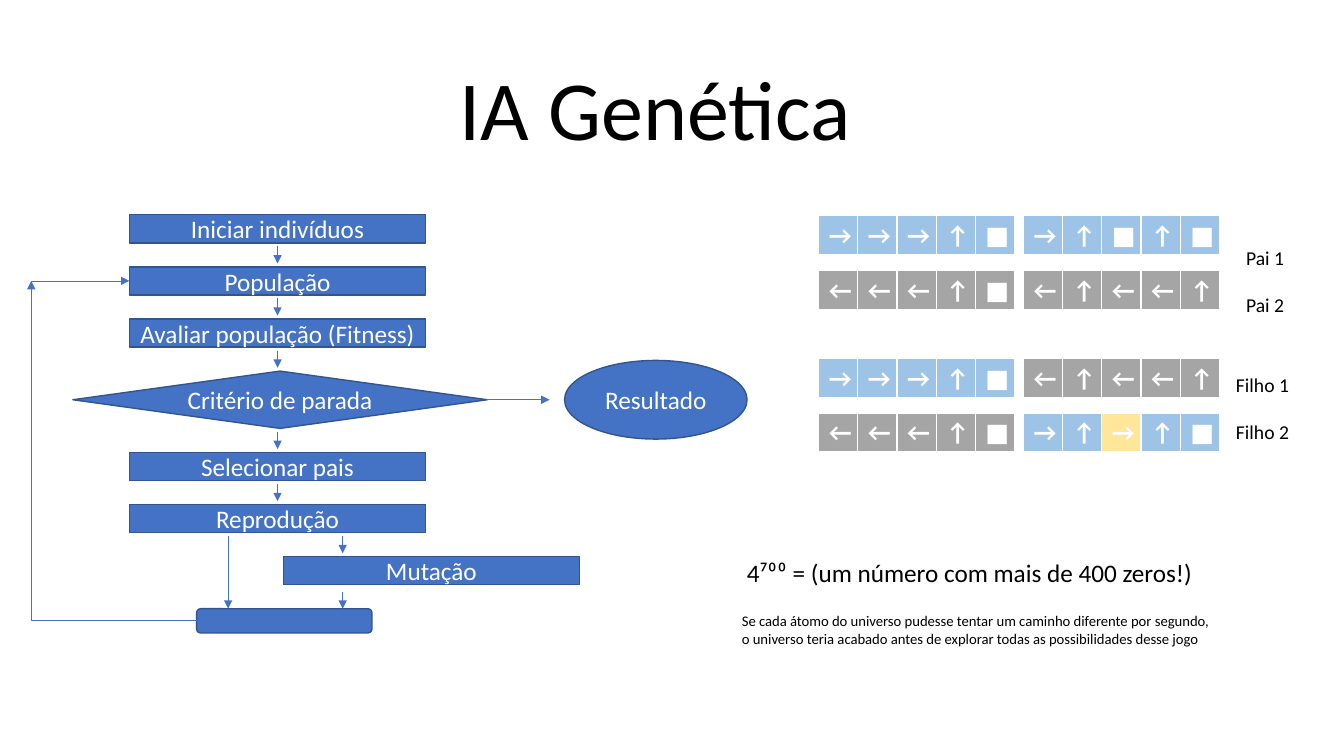
import dataclasses
import lxml.etree
import pptx
import pptx.dml.color
import pptx.enum.shapes
import pptx.enum.text
import pptx.oxml.ns
import pptx.util

Kind = pptx.enum.shapes.MSO_SHAPE
Link = pptx.enum.shapes.MSO_CONNECTOR
Align = pptx.enum.text.PP_ALIGN
Anchor = pptx.enum.text.MSO_ANCHOR
Fit = pptx.enum.text.MSO_AUTO_SIZE


@dataclasses.dataclass(frozen=True)
class Theme:
    """Colours, type sizes and line widths of the deck."""
    font: str = "Calibri"
    ink: str = "000000"
    paper: str = "FFFFFF"
    blue: str = "4472C4"
    edge: str = "325491"
    sky: str = "9DC3E6"
    grey: str = "A5A5A5"
    gold: str = "FFE699"
    title: float = 60
    body: float = 18
    label: float = 14
    small: float = 10.5
    thin: float = 0.5
    line: float = 1
    thick: float = 3


THEME = Theme()


@dataclasses.dataclass(frozen=True)
class Box:
    """A rectangle in inches whose inner areas are given in percent."""
    x: float
    y: float
    w: float
    h: float

    def point(self, x, y):
        """Return the point at a percent position."""
        return (pptx.util.Inches(self.x + self.w * x / 100),
                pptx.util.Inches(self.y + self.h * y / 100))

    def area(self, x, y, w, h):
        """Return the box at a percent position and size."""
        return Box(self.x + self.w * x / 100, self.y + self.h * y / 100,
                   self.w * w / 100, self.h * h / 100)

    def frame(self):
        """Return left, top, width and height as lengths."""
        return [pptx.util.Inches(side) for side in (self.x, self.y, self.w, self.h)]


def tint(code):
    """Return the colour for a hex code."""
    return pptx.dml.color.RGBColor.from_string(code)


def write(frame, text, size=THEME.body, color=THEME.ink, bold=False,
          align=Align.LEFT, gap=0, lead=None):
    """Fill a text frame, one paragraph for each line of text."""
    for index, line in enumerate(text.split("\n")):
        para = frame.add_paragraph() if index else frame.paragraphs[0]
        para.alignment = align
        para.line_spacing = lead
        if index:
            para.space_before = pptx.util.Pt(gap)
        run = para.add_run()
        run.text = line
        run.font.name = THEME.font
        run.font.size = pptx.util.Pt(size)
        run.font.bold = bold
        run.font.color.rgb = tint(color)


def label(shapes, box, text, wrap=False, anchor=Anchor.TOP, **style):
    """Add a text box."""
    frame = shapes.add_textbox(*box.frame()).text_frame
    frame.word_wrap = wrap
    frame.auto_size = Fit.NONE if wrap else Fit.SHAPE_TO_FIT_TEXT
    frame.vertical_anchor = anchor
    write(frame, text, **style)


def node(shapes, kind, box, text=""):
    """Add one filled step of the flow."""
    shape = shapes.add_shape(kind, *box.frame())
    shape.shadow.inherit = False
    shape.fill.solid()
    shape.fill.fore_color.rgb = tint(THEME.blue)
    shape.line.color.rgb = tint(THEME.edge)
    shape.line.width = pptx.util.Pt(THEME.line)
    if text:
        shape.text_frame.vertical_anchor = Anchor.MIDDLE
        write(shape.text_frame, text, color=THEME.paper, align=Align.CENTER)


def arrow(shapes, start, end, bent=False):
    """Add a thin arrow, straight or with one corner."""
    link = shapes.add_connector(Link.ELBOW if bent else Link.STRAIGHT, *start, *end)
    link.line.color.rgb = tint(THEME.blue)
    link.line.width = pptx.util.Pt(THEME.thin)
    qn = pptx.oxml.ns.qn
    props = link.element.spPr
    lxml.etree.SubElement(props.find(qn("a:ln")), qn("a:tailEnd"), type="triangle")
    lxml.etree.SubElement(props, qn("a:effectLst"))
    if bent:
        props.find(qn("a:prstGeom")).set("prst", "bentConnector2")


def rule(cell):
    """Give a cell white borders."""
    qn = pptx.oxml.ns.qn
    props = cell._tc.get_or_add_tcPr()
    for index, side in enumerate("LRTB"):
        width = THEME.thick if side == "B" else THEME.line
        line = lxml.etree.Element(qn("a:ln" + side), w=str(pptx.util.Pt(width)))
        fill = lxml.etree.SubElement(line, qn("a:solidFill"))
        lxml.etree.SubElement(fill, qn("a:srgbClr"), val=THEME.paper)
        props.insert(index, line)


def strip(shapes, box, moves, color, change=None):
    """Add a one-row table of moves, with one mutated cell if asked."""
    table = shapes.add_table(1, len(moves), *box.frame()).table
    table.first_row = table.horz_banding = False
    for index, move in enumerate(moves):
        table.columns[index].width = pptx.util.Inches(box.w / len(moves))
        cell = table.cell(0, index)
        cell.fill.solid()
        cell.fill.fore_color.rgb = tint(THEME.gold if index == change else color)
        rule(cell)
        write(cell.text_frame, move, color=THEME.paper, bold=True)


def flow(shapes, box):
    """Draw the cycle of the genetic algorithm."""
    left, wide, high, mid = 13.7, 41.4, 6.75, 34.4
    fork, turn = 27.5, 43.5
    steps = [
        (Kind.RECTANGLE, left, wide, high, "Iniciar indivíduos", mid),
        (Kind.RECTANGLE, left, wide, high, "População", mid),
        (Kind.RECTANGLE, left, wide, high, "Avaliar população (Fitness)", mid),
        (Kind.DIAMOND, 5.8, 57.9, 13.7, "Critério de parada", mid),
        (Kind.RECTANGLE, left, wide, high, "Selecionar pais", mid),
        (Kind.RECTANGLE, left, wide, high, "Reprodução", turn),
        (Kind.RECTANGLE, 35.2, wide, high, "Mutação", None),
        (Kind.ROUNDED_RECTANGLE, 23.1, 24.5, 5.8, "", None),
    ]
    gap = (100 - sum(step[3] for step in steps)) / (len(steps) - 1)
    group = shapes.add_group_shape().shapes
    tops, top = [], 0
    for kind, x, w, h, text, out in steps:
        node(group, kind, box.area(x, top, w, h), text)
        if out:
            arrow(group, box.point(out, top + h + 0.8),
                  box.point(out, top + h + gap - 0.8))
        tops.append(top)
        top += h + gap
    merge = tops[7]
    arrow(group, box.point(fork, tops[5] + high + 0.8), box.point(fork, merge))
    arrow(group, box.point(turn, merge - 4.1), box.point(turn, merge))
    back = tops[1] + high / 2
    arrow(group, box.point(23.1, merge + 2.9), box.point(0, back), bent=True)
    arrow(group, box.point(0, back), box.point(left, back))
    test = tops[3] + 13.7 / 2
    arrow(group, box.point(63.7, test), box.point(72.4, test))
    node(group, Kind.OVAL, box.area(74.5, test - 9.4, 25.5, 18.8), "Resultado")


def genes(shapes, box):
    """Draw the parents and children as strips of moves."""
    sky, grey = THEME.sky, THEME.grey
    rows = [
        (0, ("→→→↑■", sky), ("→↑■↑■", sky)),
        (23.1, ("←←←↑■", grey), ("←↑←←↑", grey)),
        (60.3, ("→→→↑■", sky), ("←↑←←↑", grey)),
        (83.1, ("←←←↑■", grey), ("→↑→↑■", sky, 2)),
    ]
    for top, *pair in rows:
        for col, gene in enumerate(pair):
            strip(shapes, box.area(42.6 * col, top, 40.7, 16.9), *gene)
    for x, y, w, text in ((84.7, 64.2, 15.3, "Filho 1\nFilho 2"),
                          (86.8, 10.8, 12.2, "Pai 1\nPai 2")):
        label(shapes, box.area(x, y, w, 34.3), text, size=THEME.label, gap=17)


def notes(shapes, box):
    """Place the count of paths and the remark below it."""
    label(shapes, box.area(1, 0, 95, 40), "4⁷⁰⁰ = (um número com mais de 400 zeros!)")
    label(shapes, box.area(0, 53.5, 100, 46.5),
          "Se cada átomo do universo pudesse tentar um caminho diferente por segundo, "
          "o universo teria acabado antes de explorar todas as possibilidades desse jogo",
          wrap=True, size=THEME.small)


def main():
    """Build and save the slide."""
    deck = pptx.Presentation()
    page = Box(0, 0, 13.33, 7.5)
    deck.slide_width, deck.slide_height = page.frame()[2:]
    shapes = deck.slides.add_slide(deck.slide_layouts[6]).shapes
    label(shapes, page.area(24.3, 6.9, 48.9, 14.8), "IA Genética", wrap=True,
          anchor=Anchor.BOTTOM, size=THEME.title, align=Align.CENTER, lead=0.9)
    flow(shapes, page.area(2.33, 28.4, 53.26, 55.33))
    notes(shapes, page.area(54.46, 73.07, 36.9, 13.47))
    genes(shapes, page.area(60.92, 28.47, 35.78, 31.47))
    deck.save("out.pptx")


if __name__ == "__main__":
    main()
